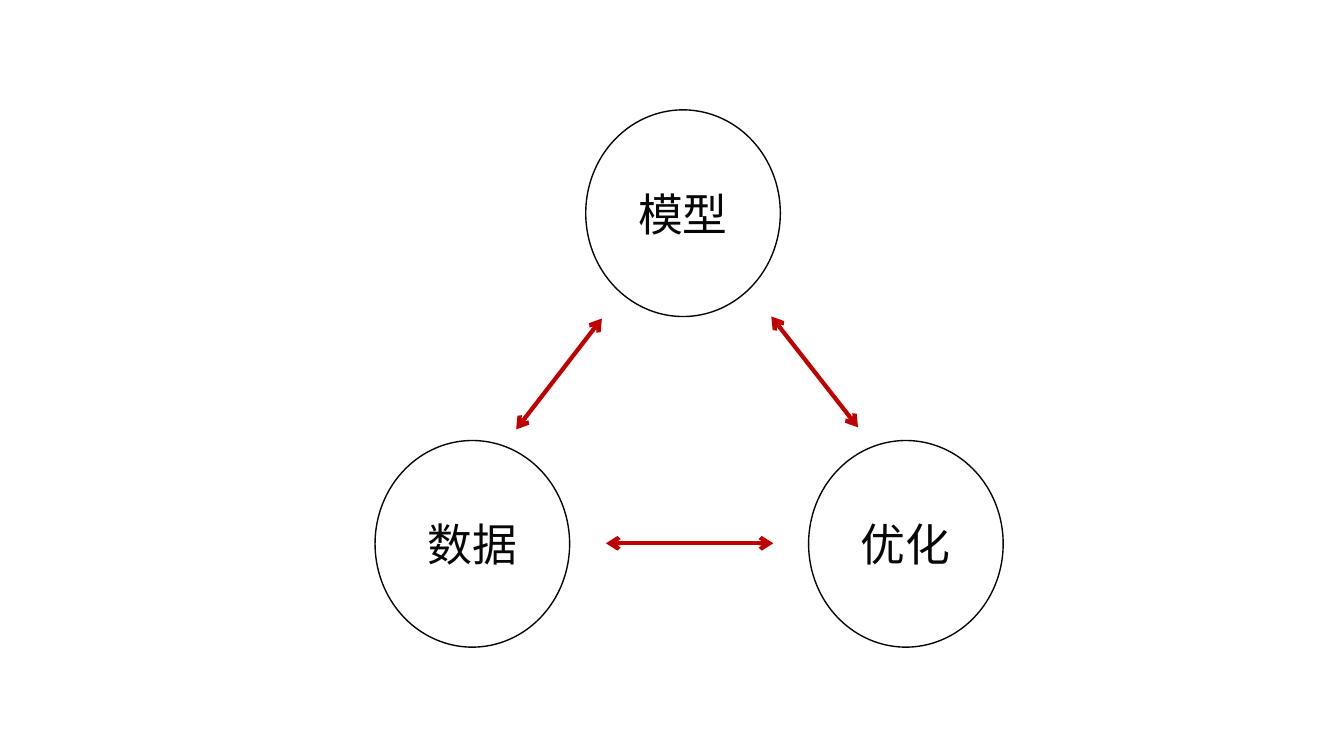
"""Builds a slide showing how model, data and optimisation depend on each other."""
from lxml import etree
from pptx import Presentation
from pptx.dml.color import RGBColor
from pptx.enum.shapes import MSO_CONNECTOR, MSO_SHAPE
from pptx.enum.text import MSO_ANCHOR, PP_ALIGN
from pptx.oxml.ns import qn
from pptx.util import Inches, Pt

OVAL = MSO_SHAPE.OVAL
STRAIGHT = MSO_CONNECTOR.STRAIGHT
MIDDLE = MSO_ANCHOR.MIDDLE
CENTER = PP_ALIGN.CENTER
BLANK_LAYOUT = 6

CIRCLES = [("模型", 5.81, 1.09), ("优化", 8.02, 4.37), ("数据", 3.72, 4.37)]
ARROWS = [
    ((5.97, 3.16), (5.12, 4.26)),
    ((7.67, 5.39), (6.01, 5.39)),
    ((7.65, 3.14), (8.51, 4.24)),
]


def color(value):
    return RGBColor.from_string(value)


class CycleSlide:
    font = "Vollkorn"
    font_size = 32
    ink = "070707"
    accent = "C00000"
    circle_size = (1.93, 2.05)

    def __init__(self, deck):
        self.page = deck.slides.add_slide(deck.slide_layouts[BLANK_LAYOUT])

    def outline(self, line, value, width):
        line.color.rgb = color(value)
        line.width = Pt(width)

    def circle(self, label, left, top):
        width, height = self.circle_size
        shape = self.page.shapes.add_shape(
            OVAL, Inches(left), Inches(top), Inches(width), Inches(height))
        shape.shadow.inherit = False
        shape.fill.background()
        self.outline(shape.line, self.ink, 1)
        frame = shape.text_frame
        frame.vertical_anchor = MIDDLE
        para = frame.paragraphs[0]
        para.text = label
        para.alignment = CENTER
        para.font.name = self.font
        para.font.size = Pt(self.font_size)
        para.font.color.rgb = color(self.ink)

    def double_arrow(self, start, end):
        points = [Inches(value) for value in (*start, *end)]
        arrow = self.page.shapes.add_connector(STRAIGHT, *points)
        self.outline(arrow.line, self.accent, 3)
        properties = arrow._element.spPr
        line = properties.find(qn("a:ln"))
        for tag in ("a:headEnd", "a:tailEnd"):
            etree.SubElement(line, qn(tag), type="arrow")
        etree.SubElement(properties, qn("a:effectLst"))


def main():
    deck = Presentation()
    deck.slide_width = Inches(13.33)
    deck.slide_height = Inches(7.5)
    slide = CycleSlide(deck)
    for label, left, top in CIRCLES:
        slide.circle(label, left, top)
    for start, end in ARROWS:
        slide.double_arrow(start, end)
    deck.save("out.pptx")


if __name__ == "__main__":
    main()
